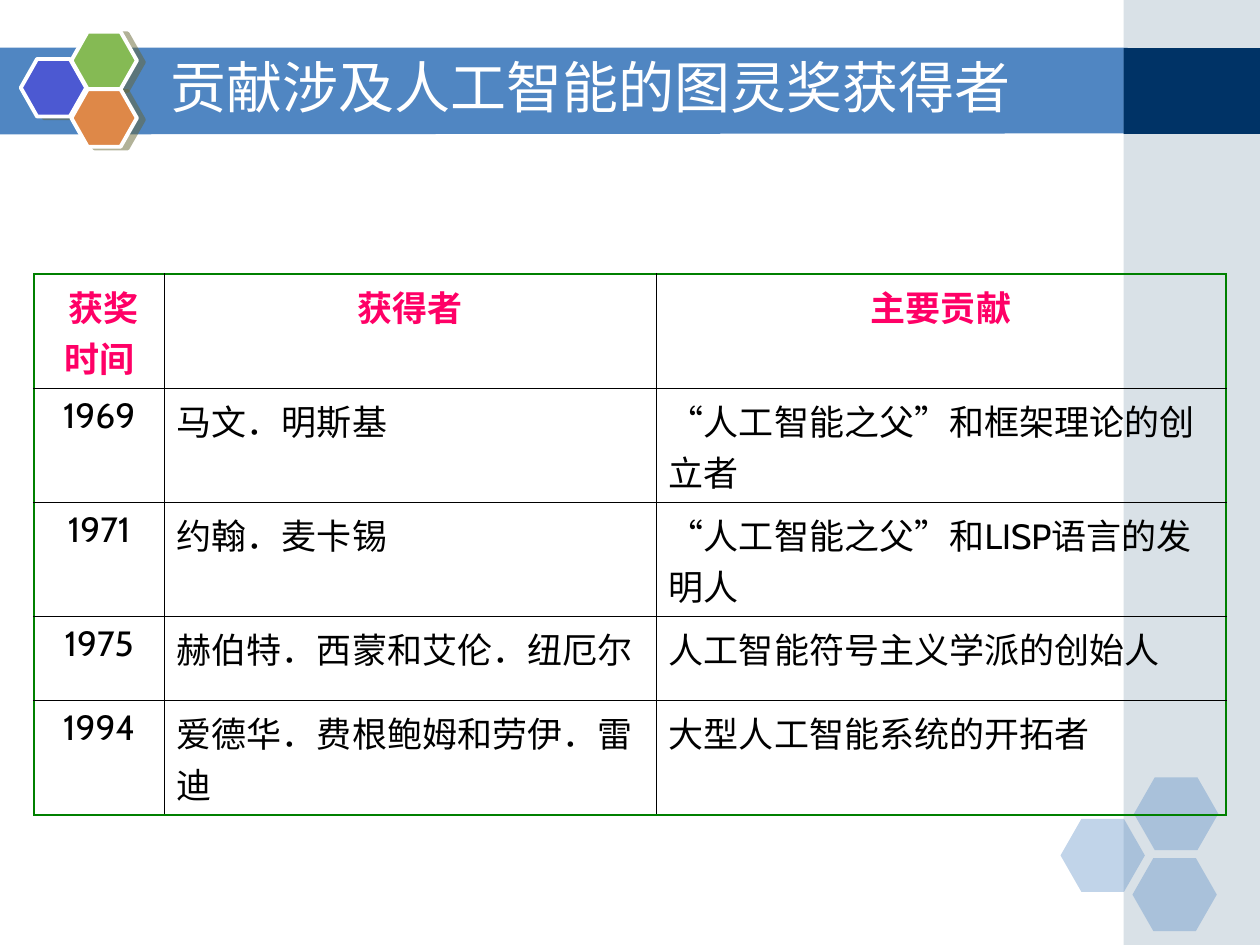
from itertools import groupby

from lxml.etree import SubElement
from pptx import Presentation
from pptx.dml.color import RGBColor
from pptx.enum.shapes import MSO_SHAPE
from pptx.enum.text import MSO_ANCHOR, PP_ALIGN
from pptx.oxml import parse_xml
from pptx.oxml.ns import nsdecls, qn
from pptx.util import Cm, Pt

CJK, LATIN, QUOTE = "Noto Sans CJK SC", "Cabin", "Times New Roman"
THICK, THIN = ("008000", 1.47), ("000000", 0.45)
COLUMNS = [2.62, 9.92, 11.48]
ROW_HEIGHTS = [2.3, 2.3, 2.3, 1.7, 2.3]
ROWS = [
    [" 获奖时间", "获得者", "主要贡献"],
    ["1969", "马文．明斯基", "“人工智能之父”和框架理论的创立者"],
    ["1971", "约翰．麦卡锡", "“人工智能之父”和LISP语言的发明人"],
    ["1975", "赫伯特．西蒙和艾伦．纽厄尔", "人工智能符号主义学派的创始人"],
    ["1994", "爱德华．费根鲍姆和劳伊．雷迪", "大型人工智能系统的开拓者"],
]


def rgb(color):
    return RGBColor.from_string(color)


def paint(sp, color, alpha=None):
    """Fill without line or shadow; alpha is opacity in percent."""
    sp.shadow.inherit = False
    sp.fill.solid()
    sp.fill.fore_color.rgb = rgb(color)
    sp.line.fill.background()
    if alpha:
        clr = sp._element.spPr.find(".//" + qn("a:srgbClr"))
        SubElement(clr, qn("a:alpha"), val=str(alpha * 1000))


def add_shape(s, kind, box, color, alpha=None):
    sp = s.shapes.add_shape(kind, *map(Cm, box))
    paint(sp, color, alpha)
    return sp


def add_band(s):
    corners = [(Cm(x), Cm(y)) for x, y in
               [(-0.03, 0.96), (22.73, 0.96), (22.73, 2.69), (-0.03, 2.71)]]
    fb = s.shapes.build_freeform(*corners[0])
    fb.add_line_segments(corners[1:], close=True)
    paint(fb.convert_to_shape(), "5086C2")


def add_pale_hexagon(s, x, y):
    sp = add_shape(s, MSO_SHAPE.HEXAGON, (x, y, 1.7, 1.47), "5086C2", 35)
    sp.adjustments[0] = 0.286


def add_badge_hexagon(s, x, y, color):
    sp = add_shape(s, MSO_SHAPE.HEXAGON, (x, y, 1.32, 1.16), color)
    sp.adjustments[0] = 0.283
    sp.line.color.rgb = rgb("FFFFFF")
    sp.line.width = Pt(2.25)
    effects = sp._element.spPr.find(qn("a:effectLst"))
    shadow = SubElement(effects, qn("a:outerShdw"), dist=str(Pt(4.1)),
                        dir=str(14 * 60000), algn="ctr", rotWithShape="0")
    clr = SubElement(shadow, qn("a:srgbClr"), val="666633")
    SubElement(clr, qn("a:alpha"), val="50000")


def format_run(r, font, size, color, bold=False):
    r.font.name = font
    r.font.size = Pt(size)
    r.font.bold = bold
    r.font.color.rgb = rgb(color)
    SubElement(r._r.get_or_add_rPr(), qn("a:ea"), typeface=CJK)


def add_title(s, text):
    tf = s.shapes.add_textbox(Cm(3.18), Cm(0.84), Cm(18.62), Cm(1.78)).text_frame
    tf.word_wrap = True
    tf.vertical_anchor = MSO_ANCHOR.MIDDLE
    tf.text = text
    format_run(tf.paragraphs[0].runs[0], CJK, 32, "FFFFFF")


def set_borders(cell, **sides):
    tcPr = cell._tc.get_or_add_tcPr()
    for i, (side, (color, width)) in enumerate(sides.items()):
        tcPr.insert(i, parse_xml(
            f'<a:ln{side} {nsdecls("a")} w="{Pt(width)}"><a:solidFill>'
            f'<a:srgbClr val="{color}"/></a:solidFill></a:ln{side}>'))


def fill_cell(cell, text, header, centered, font):
    cell.fill.background()
    p = cell.text_frame.paragraphs[0]
    p.alignment = PP_ALIGN.CENTER if centered else PP_ALIGN.LEFT
    for quoted, chars in groupby(text, lambda ch: ch in "“”"):
        r = p.add_run()
        r.text = "".join(chars)
        format_run(r, QUOTE if quoted else font, 20,
                   "FF0066" if header else "000000", header)


def add_winners_table(s):
    last_row, last_col = len(ROWS) - 1, len(COLUMNS) - 1
    table = s.shapes.add_table(len(ROWS), len(COLUMNS), Cm(0.69), Cm(5.53),
                               Cm(sum(COLUMNS)), Cm(sum(ROW_HEIGHTS))).table
    table.first_row = table.horz_banding = False
    for col, width in zip(table.columns, COLUMNS):
        col.width = Cm(width)
    for i, (row, height) in enumerate(zip(table.rows, ROW_HEIGHTS)):
        row.height = Cm(height)
        for j, cell in enumerate(row.cells):
            font = CJK if (i, j) == (3, last_col) else LATIN
            fill_cell(cell, ROWS[i][j], i == 0, i == 0 or j == 0, font)
            set_borders(cell,
                        L=THICK if j == 0 else THIN,
                        R=THICK if j == last_col else THIN,
                        T=THICK if i == 0 else THIN,
                        B=THICK if i == last_row else THIN)


def main():
    prs = Presentation()
    prs.slide_width, prs.slide_height = Cm(25.4), Cm(19.05)
    s = prs.slides.add_slide(prs.slide_layouts[6])
    add_band(s)
    add_shape(s, MSO_SHAPE.RECTANGLE, (22.65, 0, 2.75, 19.05), "A0B5C4", 40)
    add_shape(s, MSO_SHAPE.RECTANGLE, (22.65, 0.97, 2.75, 1.73), "003366")
    for x, y in [(21.38, 16.51), (22.86, 15.67), (22.83, 17.3)]:
        add_pale_hexagon(s, x, y)
    for x, y, color in [(0.42, 1.19, "4C59D2"), (1.44, 0.64, "85BA54"),
                        (1.44, 1.8, "DE8848")]:
        add_badge_hexagon(s, x, y, color)
    add_title(s, "贡献涉及人工智能的图灵奖获得者")
    add_winners_table(s)
    prs.save("out.pptx")


if __name__ == "__main__":
    main()
